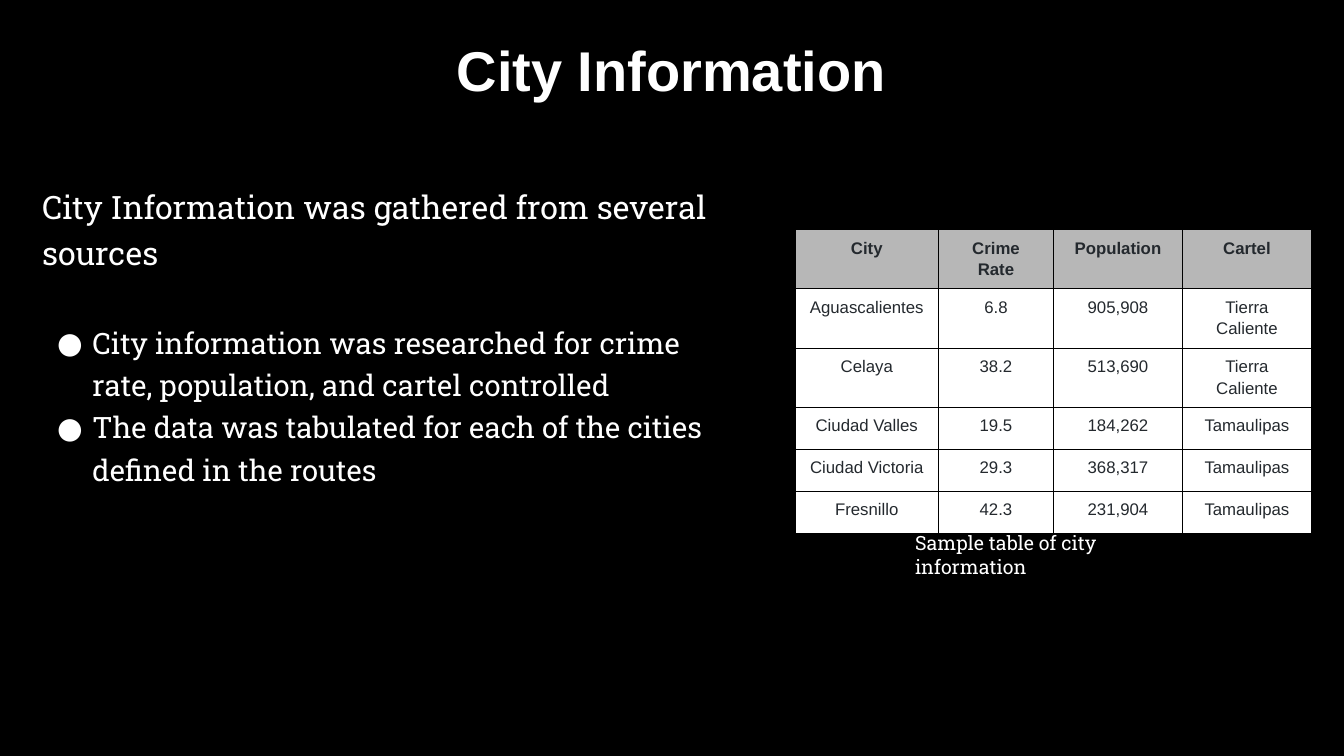
from dataclasses import dataclass
from typing import Optional

from lxml import etree
from pptx import Presentation
from pptx import util as u
from pptx.dml.color import RGBColor
from pptx.enum import text
from pptx.oxml.ns import qn

COLORS = {"black": "000000", "white": "FFFFFF", "header": "B7B7B7", "ink": "24292E"}
SANS, SLAB = "Arial", "Roboto Slab"


@dataclass
class BodyItem:
    words: str
    size: int
    bullet: Optional[str] = None
    before: float = 0


BODY = [
    BodyItem("City Information was gathered from several sources", 23),
    BodyItem("City information was researched for crime rate, population, and cartel controlled",
             21, "●", 33),
    BodyItem("The data was tabulated for each of the cities defined in the routes", 21, "●"),
]
CITIES = [
    ("City", "Crime Rate", "Population", "Cartel"),
    ("Aguascalientes", "6.8", "905,908", "Tierra Caliente"),
    ("Celaya", "38.2", "513,690", "Tierra Caliente"),
    ("Ciudad Valles", "19.5", "184,262", "Tamaulipas"),
    ("Ciudad Victoria", "29.3", "368,317", "Tamaulipas"),
    ("Fresnillo", "42.3", "231,904", "Tamaulipas"),
]
COLUMN_WIDTHS = (3.61, 2.9, 3.25, 3.25)
ROW_HEIGHT = 1.06


def rgb(name: str) -> RGBColor:
    return RGBColor.from_string(COLORS[name])


def write(para, words: str, *, size: int, font: str = SLAB, color: str = "white",
          bold: bool = False, align=text.PP_ALIGN.LEFT, spacing: float = 1.0,
          before: float = 0, after: float = 0) -> None:
    para.alignment, para.line_spacing = align, spacing
    para.space_before, para.space_after = u.Pt(before), u.Pt(after)
    span = para.add_run()
    span.text = words
    span.font.size, span.font.name, span.font.bold = u.Pt(size), font, bold
    span.font.color.rgb = rgb(color)


def add_bullet(para, mark: str) -> None:
    props = para._p.get_or_add_pPr()
    props.set("marL", str(u.Cm(1.27)))
    props.set("indent", str(-u.Cm(0.89)))
    tint = etree.SubElement(props, qn("a:buClr"))
    etree.SubElement(tint, qn("a:srgbClr"), val=COLORS["white"])
    etree.SubElement(props, qn("a:buFont"), typeface=SLAB)
    etree.SubElement(props, qn("a:buChar"), char=mark)


def add_borders(cell) -> None:
    props = cell._tc.get_or_add_tcPr()
    for side in ("lnL", "lnR", "lnT", "lnB"):
        line = etree.SubElement(props, qn(f"a:{side}"), w=str(u.Pt(0.75)))
        fill = etree.SubElement(line, qn("a:solidFill"))
        etree.SubElement(fill, qn("a:srgbClr"), val=COLORS["black"])


def add_box(page, left: float, top: float, width: float, height: float):
    frame = page.shapes.add_textbox(u.Cm(left), u.Cm(top), u.Cm(width), u.Cm(height)).text_frame
    frame.word_wrap = True
    return frame


def add_title(page) -> None:
    title = page.shapes.title
    title.left, title.top, title.width, title.height = (
        u.Cm(2.54), u.Cm(0), u.Cm(28.75), u.Cm(3.68))
    title.text_frame.vertical_anchor = text.MSO_ANCHOR.MIDDLE
    write(title.text_frame.paragraphs[0], "City Information", size=40, font=SANS,
          bold=True, align=text.PP_ALIGN.CENTER, spacing=0.9)


def add_body(page) -> None:
    frame = add_box(page, 0.81, 4.39, 17.37, 10.29)
    for index, item in enumerate(BODY):
        para = frame.add_paragraph() if index else frame.paragraphs[0]
        if item.bullet:
            add_bullet(para, item.bullet)
        write(para, item.words, size=item.size, spacing=1.2, before=item.before)


def add_city_table(page) -> None:
    table = page.shapes.add_table(
        len(CITIES), len(COLUMN_WIDTHS), u.Cm(20.04), u.Cm(5.79),
        u.Cm(sum(COLUMN_WIDTHS)), u.Cm(ROW_HEIGHT * len(CITIES))).table
    table.first_row = table.horz_banding = False
    for column, width in zip(table.columns, COLUMN_WIDTHS):
        column.width = u.Cm(width)
    for row_index, values in enumerate(CITIES):
        is_header = row_index == 0
        table.rows[row_index].height = u.Cm(ROW_HEIGHT)
        for column_index, value in enumerate(values):
            cell = table.cell(row_index, column_index)
            cell.margin_left = cell.margin_right = u.Cm(0.36)
            cell.margin_top = cell.margin_bottom = u.Cm(0.16)
            add_borders(cell)
            cell.fill.solid()
            cell.fill.fore_color.rgb = rgb("header" if is_header else "white")
            write(cell.text_frame.paragraphs[0], value, size=12, font=SANS, color="ink",
                  bold=is_header, align=text.PP_ALIGN.CENTER, spacing=1.15, after=12)


def main() -> None:
    deck = Presentation()
    deck.slide_width, deck.slide_height = u.Cm(33.87), u.Cm(19.05)
    page = deck.slides.add_slide(deck.slide_layouts[5])
    page.background.fill.solid()
    page.background.fill.fore_color.rgb = rgb("black")

    add_title(page)
    add_body(page)
    add_city_table(page)
    # Table caption
    caption = add_box(page, 22.81, 13.26, 7.77, 0.86)
    write(caption.paragraphs[0], "Sample table of city information", size=14)

    deck.save("out.pptx")


if __name__ == "__main__":
    main()
